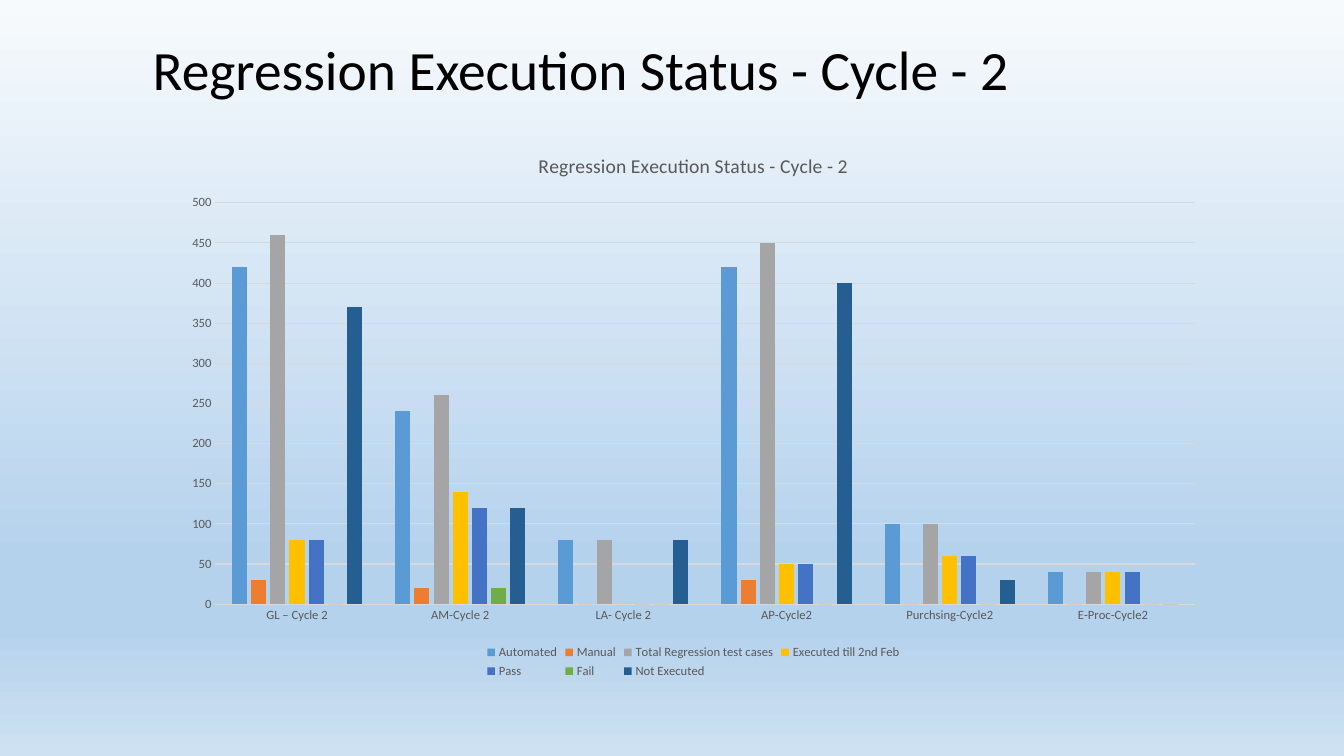
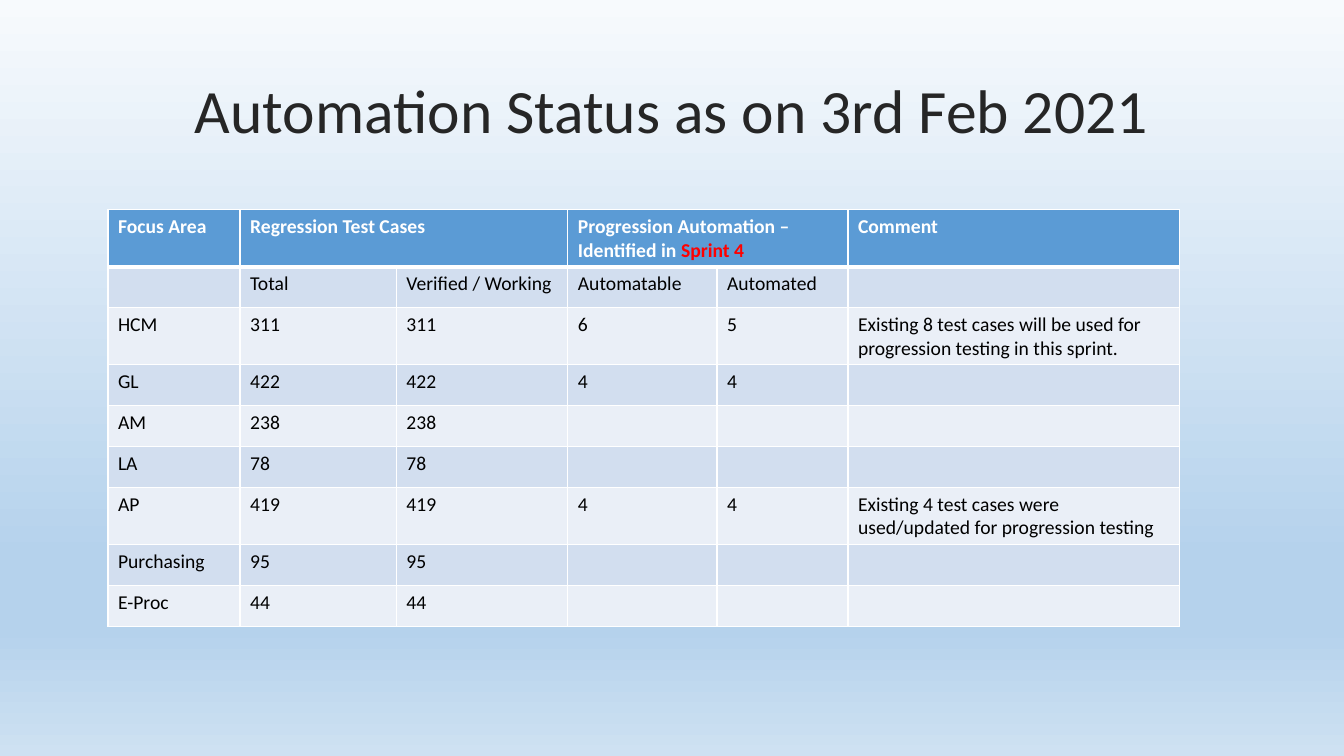
from lxml import etree
from pptx import Presentation
from pptx import util as u
from pptx.chart.data import CategoryChartData
from pptx.dml.color import RGBColor
from pptx.enum import chart as kinds
from pptx.enum import text
from pptx.oxml.ns import qn

FONT = "Calibri"
WHITE, BLACK, RED = "FFFFFF", "000000", "FF0000"
GREY, RULE, HEADER = "595959", "D9D9D9", "5B9BD5"
BANDS = ["D2DEEF", "EAEFF7"]
BACKDROP = [(0, "F7FAFD"), (74, "B5D2EC"), (83, "B5D2EC"), (100, "CEE1F2")]


def colour(value):
    return RGBColor.from_string(value)


def apply(target, values):
    for name, value in values.items():
        setattr(target, name, value)


def style(font, size, hue, bold=False):
    apply(font, {"name": FONT, "size": u.Pt(size), "bold": bold})
    font.color.rgb = colour(hue)


def paint_backdrop(master):
    fill = master.background.fill
    fill.gradient()
    fill.gradient_angle = 270
    stops = next(master.element.cSld.iter(qn("a:gsLst")))
    for stop in list(stops):
        stops.remove(stop)
    for place, hue in BACKDROP:
        stop = etree.SubElement(stops, qn("a:gs"), pos=str(place * 1000))
        etree.SubElement(stop, qn("a:srgbClr"), val=hue)


def add_title(page, box, words, size, hue, align, indent=0):
    frame = page.shapes.add_textbox(*map(u.Cm, box)).text_frame
    apply(frame, {
        "word_wrap": True,
        "vertical_anchor": text.MSO_ANCHOR.MIDDLE,
        "margin_left": u.Cm(0.25 + indent),
    })
    para = frame.paragraphs[0]
    apply(para, {"alignment": align, "line_spacing": 0.9})
    span = para.add_run()
    span.text = words
    style(span.font, size, hue)


def add_status_chart(page, box, title, categories, series):
    data = CategoryChartData()
    data.categories = categories
    for name, hue, values in series:
        data.add_series(name, values)
    chart = page.shapes.add_chart(
        kinds.XL_CHART_TYPE.COLUMN_CLUSTERED, *map(u.Cm, box), data).chart
    style(chart.font, 10, BLACK)

    chart.has_title = True
    heading = chart.chart_title.text_frame
    heading.text = title
    style(heading.paragraphs[0].runs[0].font, 14, GREY)

    chart.has_legend = True
    apply(chart.legend, {
        "position": kinds.XL_LEGEND_POSITION.BOTTOM,
        "include_in_layout": False,
    })
    style(chart.legend.font, 9, GREY)

    plot = chart.plots[0]
    apply(plot, {"gap_width": 219, "overlap": -27, "vary_by_categories": False})
    for bars, (name, hue, values) in zip(plot.series, series):
        bars.format.fill.solid()
        bars.format.fill.fore_color.rgb = colour(hue)

    for axis in (chart.category_axis, chart.value_axis):
        apply(axis, {
            "major_tick_mark": kinds.XL_TICK_MARK.NONE,
            "minor_tick_mark": kinds.XL_TICK_MARK.NONE,
        })
        style(axis.tick_labels.font, 9, GREY)
    apply(chart.value_axis, {
        "minimum_scale": 0, "maximum_scale": 500, "major_unit": 50})
    chart.value_axis.format.line.fill.background()
    for rule in (chart.category_axis, chart.value_axis.major_gridlines):
        rule.format.line.width = u.Pt(0.75)
        rule.format.line.color.rgb = colour(RULE)


def add_borders(cell, widths):
    props = cell._tc.get_or_add_tcPr()
    for index, (side, width) in enumerate(zip("LRTB", widths)):
        line = etree.Element(qn("a:ln" + side), w=str(u.Pt(width)))
        fill = etree.SubElement(line, qn("a:solidFill"))
        etree.SubElement(fill, qn("a:srgbClr"), val=WHITE)
        props.insert(index, line)


def fill_cell(cell, content, row):
    header = row == 0
    cell.fill.solid()
    cell.fill.fore_color.rgb = colour(HEADER if header else BANDS[(row - 1) % 2])
    add_borders(cell, [1, 1, 3 if row == 1 else 1, 3 if header else 1])
    para = cell.text_frame.paragraphs[0]
    style(para.font, 14, WHITE if header else BLACK, header)
    spans = content if isinstance(content, list) else [(content, None)]
    for words, hue in spans:
        if words:
            span = para.add_run()
            span.text = words
            style(span.font, 14, hue or (WHITE if header else BLACK), header)


def add_status_table(page, corner, widths, row_height, rows, merges):
    size = sum(widths), row_height * len(rows)
    table = page.shapes.add_table(
        len(rows), len(widths), *map(u.Cm, (*corner, *size))).table
    for column, width in zip(table.columns, widths):
        column.width = u.Cm(width)
    for index, contents in enumerate(rows):
        table.rows[index].height = u.Cm(row_height)
        for column, content in enumerate(contents):
            fill_cell(table.cell(index, column), content, index)
    for first, last in merges:
        table.cell(0, first).merge(table.cell(0, last))


def build_chart_page(page):
    title = "Regression Execution Status - Cycle - 2"
    add_title(page, (2.33, 1.02, 29.21, 1.63), title, 39.6, BLACK,
              text.PP_ALIGN.LEFT, indent=1.27)
    categories = ["GL – Cycle 2", "AM-Cycle 2", "LA- Cycle 2", "AP-Cycle2",
                  "Purchsing-Cycle2", "E-Proc-Cycle2"]
    series = [
        ("Automated", "5B9BD5", [420, 240, 80, 420, 100, 40]),
        ("Manual", "ED7D31", [30, 20, 0, 30, 0, 0]),
        ("Total Regression test cases", "A5A5A5", [460, 260, 80, 450, 100, 40]),
        ("Executed till 2nd Feb", "FFC000", [80, 140, 0, 50, 60, 40]),
        ("Pass", "4472C4", [80, 120, 0, 50, 60, 40]),
        ("Fail", "70AD47", [0, 20, 0, 0, 0, 0]),
        ("Not Executed", "255E91", [370, 120, 80, 400, 30, 0]),
    ]
    add_status_chart(page, (4.32, 3.33, 26.31, 13.87), title, categories, series)


def build_table_page(page):
    add_title(page, (2.33, 1.02, 29.21, 3.68), "Automation Status as on 3rd Feb 2021",
              44, "262626", text.PP_ALIGN.CENTER)
    progression = [("Progression Automation – Identified in ", None), ("Sprint 4", RED)]
    rows = [
        ("Focus Area", "Regression Test Cases", "", progression, "", "Comment"),
        ("", "Total", "Verified / Working", "Automatable", "Automated", ""),
        ("HCM", "311", "311", "6", "5",
         "Existing 8 test cases will be used for progression testing in this sprint."),
        ("GL", "422", "422", "4", "4", ""),
        ("AM", "238", "238", "", "", ""),
        ("LA", "78", "78", "", "", ""),
        ("AP", "419", "419", "4", "4",
         "Existing 4 test cases were used/updated for progression testing"),
        ("Purchasing", "95", "95", "", "", ""),
        ("E-Proc", "44", "44", "", "", ""),
    ]
    add_status_table(page, (2.72, 5.28), [3.33, 3.94, 4.32, 3.76, 3.3, 8.36],
                     1.03, rows, [(1, 2), (3, 4)])


deck = Presentation()
apply(deck, {"slide_width": u.Cm(33.87), "slide_height": u.Cm(19.05)})
paint_backdrop(deck.slide_master)
for build in (build_chart_page, build_table_page):
    build(deck.slides.add_slide(deck.slide_layouts[6]))
deck.save("out.pptx")
